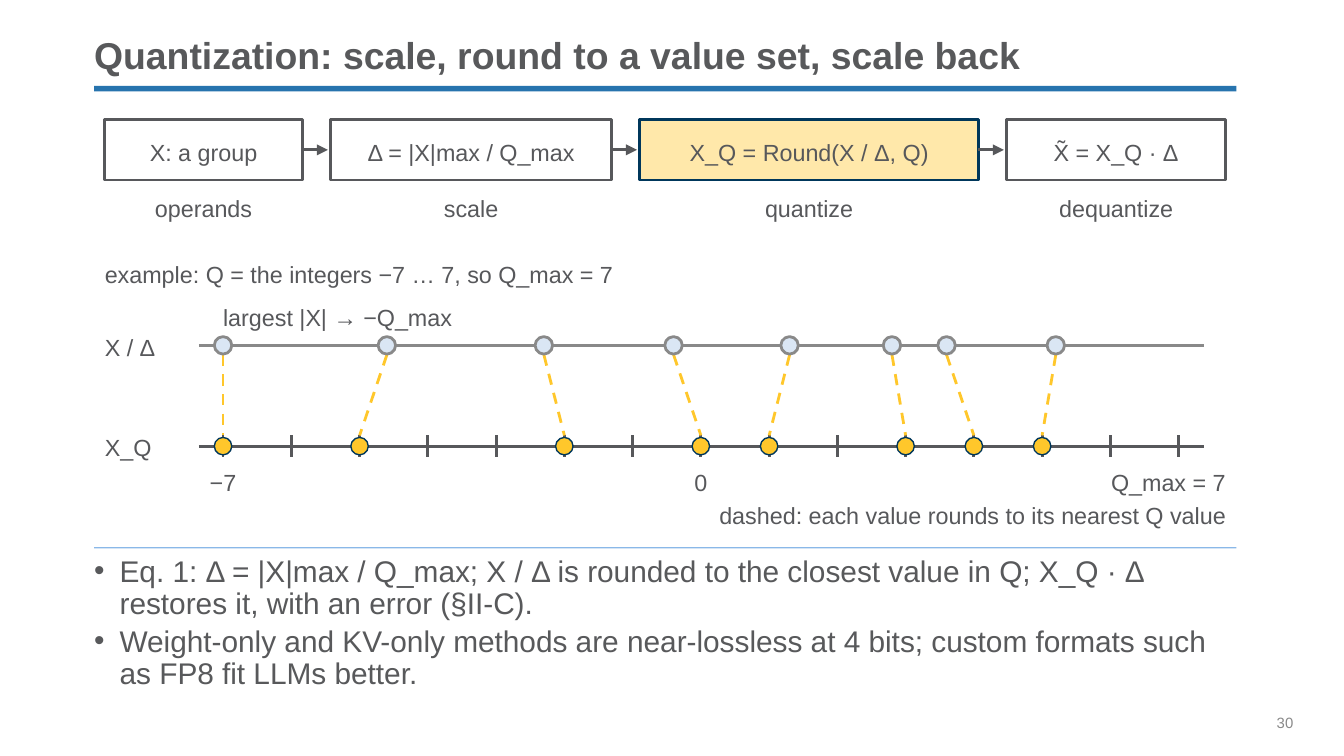
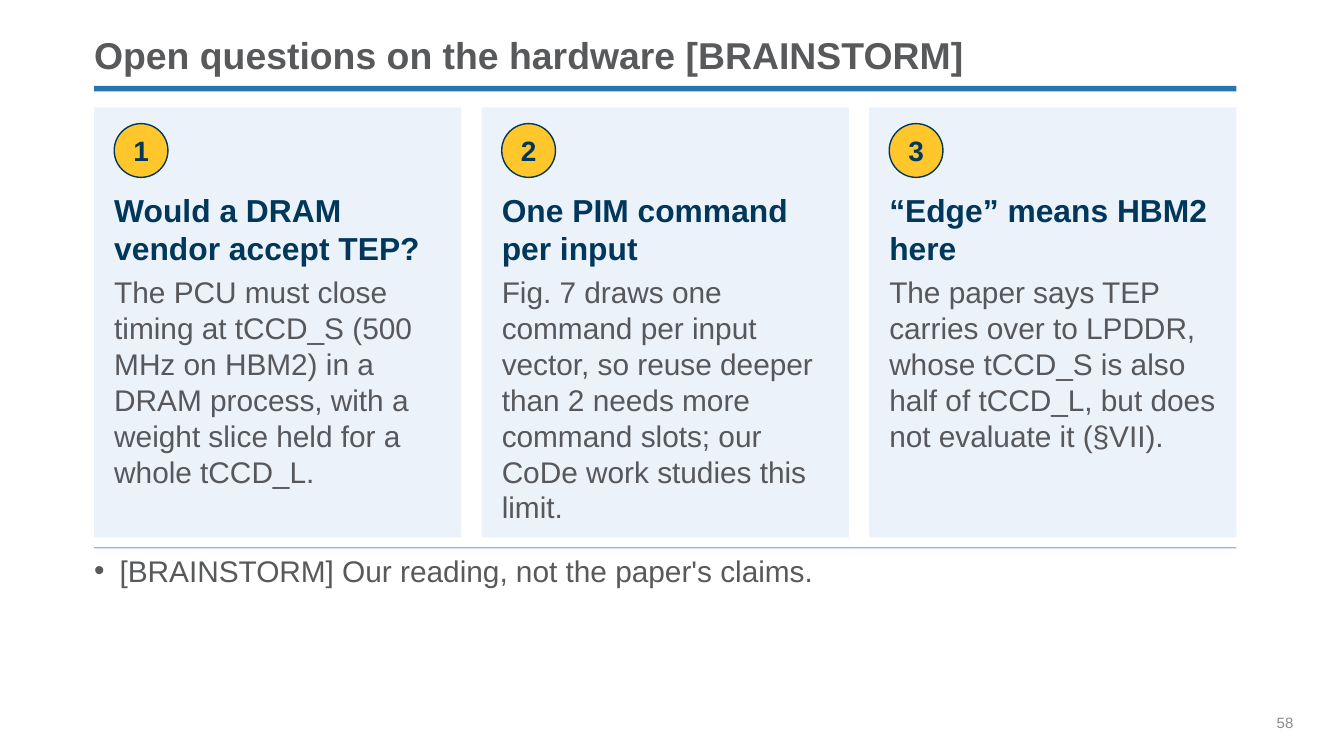
from lxml.etree import SubElement
from pptx import Presentation
from pptx.dml.color import RGBColor
from pptx.enum.dml import MSO_LINE
from pptx.enum.shapes import MSO_CONNECTOR, MSO_SHAPE as Preset
from pptx.enum.text import MSO_ANCHOR as Anchor, MSO_AUTO_SIZE, PP_ALIGN as Align
from pptx.oxml.ns import qn
from pptx.util import Inches, Pt

# Palette
TITLE_GRAY = RGBColor(0x58, 0x59, 0x5B)
TEXT_GRAY = RGBColor(0x57, 0x58, 0x5B)
LIGHT_GRAY = RGBColor(0x89, 0x89, 0x89)
BLUE = RGBColor(0x27, 0x74, 0xAE)
SKY = RGBColor(0x8A, 0xB8, 0xE8)
PALE_BLUE = RGBColor(0xDA, 0xE6, 0xF4)
NAVY = RGBColor(0x00, 0x37, 0x5B)
GOLD = RGBColor(0xFF, 0xC7, 0x2B)
WHITE = RGBColor(0xFF, 0xFF, 0xFF)

# Shared frame
FONT = "Arial"
LEFT, WIDTH = 0.7, 8.5
LABEL_SIZE = 12.5
LABEL_HEIGHT = 0.26


class Deck:
    """Holds the style and the slide being built."""

    def __init__(self):
        self.presentation = Presentation()
        self.presentation.slide_width = Inches(10)
        self.presentation.slide_height = Inches(10) * 9 // 16
        self.slide = None

    def new_slide(self, title, bullets, number):
        layout = self.presentation.slide_layouts[1]
        self.slide = self.presentation.slides.add_slide(layout)
        self.shape(Preset.RECTANGLE, LEFT, 0.64, WIDTH, 0.04, BLUE)
        self.shape(Preset.RECTANGLE, LEFT, 4.07, WIDTH, 0.01, SKY)
        self.title(title)
        self.bullets(bullets)
        self.text(str(number), 9.5, 5.31, 0.5, 0.14, 8, LIGHT_GRAY, anchor=Anchor.TOP)

    def place(self, shape, left, top, width, height):
        shape.left, shape.top = Inches(left), Inches(top)
        shape.width, shape.height = Inches(width), Inches(height)

    def frame(self, shape, anchor):
        frame = shape.text_frame
        frame.word_wrap = True
        frame.auto_size = MSO_AUTO_SIZE.NONE
        frame.vertical_anchor = anchor
        frame.margin_left = frame.margin_right = 0
        frame.margin_top = frame.margin_bottom = 0
        return frame

    def style(self, paragraph, size, color, bold=False, align=Align.LEFT):
        paragraph.alignment = align
        font = paragraph.font
        font.name, font.size, font.bold = FONT, Pt(size), bold
        font.color.rgb = color

    def title(self, words):
        shape = self.slide.shapes.title
        self.place(shape, LEFT, 0.22, WIDTH, 0.36)
        paragraph = self.frame(shape, Anchor.BOTTOM).paragraphs[0]
        paragraph.text = words
        paragraph.line_spacing = 0.9
        self.style(paragraph, 20, TITLE_GRAY, bold=True)

    def bullets(self, items):
        shape = self.slide.placeholders[1]
        self.place(shape, LEFT, 4.14, WIDTH, 1.06)
        frame = self.frame(shape, Anchor.TOP)
        for index, item in enumerate(items):
            paragraph = frame.add_paragraph() if index else frame.paragraphs[0]
            paragraph.text = item
            paragraph.line_spacing = 0.9
            paragraph.space_before = Pt(3 if index else 0)
            properties = paragraph._p.get_or_add_pPr()
            properties.set("marL", str(Inches(0.19)))
            properties.set("indent", str(-Inches(0.19)))
            SubElement(properties, qn("a:buChar")).set("char", "•")
            self.style(paragraph, 16, TITLE_GRAY)

    def text(self, words, left, top, width, height=LABEL_HEIGHT, size=LABEL_SIZE,
             color=TEXT_GRAY, bold=False, align=Align.LEFT, anchor=Anchor.MIDDLE):
        box = self.slide.shapes.add_textbox(
            Inches(left), Inches(top), Inches(width), Inches(height))
        paragraph = self.frame(box, anchor).paragraphs[0]
        paragraph.text = words
        self.style(paragraph, size, color, bold, align)

    def shape(self, preset, left, top, width, height, fill,
              line=None, weight=1.5, opacity=100):
        shape = self.slide.shapes.add_shape(
            preset, Inches(left), Inches(top), Inches(width), Inches(height))
        shape.shadow.inherit = False
        shape.fill.solid()
        shape.fill.fore_color.rgb = fill
        if opacity < 100:
            color = shape.element.spPr.find(qn("a:solidFill"))[0]
            SubElement(color, qn("a:alpha")).set("val", str(opacity * 1000))
        if line is None:
            shape.line.fill.background()
        else:
            shape.line.color.rgb = line
            shape.line.width = Pt(weight)
        return shape

    def shape_text(self, shape, words, size, color, bold=False, drop=0):
        frame = self.frame(shape, Anchor.MIDDLE)
        frame.margin_top = Inches(drop)
        paragraph = frame.paragraphs[0]
        paragraph.text = words
        self.style(paragraph, size, color, bold, Align.CENTER)

    def dot(self, x, y, fill, line, weight, size=0.13):
        self.shape(Preset.OVAL, x - size / 2, y - size / 2, size, size, fill, line, weight)

    def line(self, x1, y1, x2, y2, color=TEXT_GRAY, dashed=False, arrow=False):
        connector = self.slide.shapes.add_connector(
            MSO_CONNECTOR.STRAIGHT, Inches(x1), Inches(y1), Inches(x2), Inches(y2))
        connector.line.color.rgb = color
        connector.line.width = Pt(1.5)
        if dashed:
            connector.line.dash_style = MSO_LINE.DASH
        if arrow:
            SubElement(connector.get_or_add_ln(), qn("a:tailEnd")).set("type", "triangle")
        SubElement(connector.element.spPr, qn("a:effectLst"))
        return connector


def quantization_slide(deck):
    deck.new_slide(
        "Quantization: scale, round to a value set, scale back",
        ["Eq. 1: Δ = |X|max / Q_max; X / Δ is rounded to the closest value in Q; "
         "X_Q · Δ restores it, with an error (§II‑C).",
         "Weight-only and KV-only methods are near-lossless at 4 bits; "
         "custom formats such as FP8 fit LLMs better."],
        30)

    # Flow of four steps
    steps = [("X: a group", "operands", 1.47),
             ("Δ = |X|max / Q_max", "scale", 2.09),
             ("X_Q = Round(X / Δ, Q)", "quantize", 2.52),
             ("X̃ = X_Q · Δ", "dequantize", 1.63)]
    left, top, height, gap = 0.78, 0.89, 0.45, 0.21
    middle = top + height / 2
    previous = None
    for formula, caption, width in steps:
        if caption == "quantize":
            box = deck.shape(Preset.RECTANGLE, left, top, width, height, GOLD, NAVY, opacity=40)
        else:
            box = deck.shape(Preset.RECTANGLE, left, top, width, height, WHITE, TEXT_GRAY)
        deck.shape_text(box, formula, LABEL_SIZE, TEXT_GRAY, drop=0.03)
        deck.text(caption, left, 1.42, width, align=Align.CENTER)
        if previous is not None:
            arrow = deck.line(left - gap, middle, left - 0.02, middle, arrow=True)
            arrow.begin_connect(previous, 3)
        previous = box
        left += width + gap

    # Number lines
    q_max, first, last = 7, 1.66, 8.77
    step = (last - first) / (2 * q_max)
    scaled_y, rounded_y = 2.57, 3.32

    def position(value):
        return first + (value + q_max) * step

    deck.text("example: Q = the integers −7 … 7, so Q_max = 7", 0.78, 1.91, 4.74)
    deck.text("X / Δ", 0.78, 2.45, 0.61)
    deck.text("X_Q", 0.78, 3.2, 0.41)
    deck.line(1.48, scaled_y, 8.96, scaled_y, LIGHT_GRAY)
    deck.line(1.48, rounded_y, 8.96, rounded_y)
    for value in range(-q_max, q_max + 1):
        x = position(value)
        deck.line(x, rounded_y - 0.08, x, rounded_y + 0.08)
    for label, value in (("−7", -q_max), ("0", 0)):
        deck.text(label, position(value) - 0.15, 3.46, 0.3, align=Align.CENTER)
    deck.text("Q_max = 7", 8.11, 3.46, 1.01, align=Align.RIGHT)

    # Each value rounds to its nearest tick
    for value in (-7, -4.6, -2.3, -0.4, 1.3, 2.8, 3.6, 5.2):
        start, end = position(value), position(round(value))
        deck.line(start, scaled_y + 0.07, end, rounded_y - 0.08, GOLD, dashed=True)
        deck.dot(start, scaled_y, PALE_BLUE, LIGHT_GRAY, 1.5)
        deck.dot(end, rounded_y, GOLD, NAVY, 0.75)
    deck.text("largest |X| → −Q_max", first, 2.23, 2.12)
    deck.text("dashed: each value rounds to its nearest Q value",
              4.18, 3.7, 4.94, align=Align.RIGHT)


def questions_slide(deck):
    deck.new_slide("Open questions on the hardware [BRAINSTORM]",
                   ["[BRAINSTORM] Our reading, not the paper's claims."], 58)

    # Numbered cards
    cards = [("Would a DRAM vendor accept TEP?",
              "The PCU must close timing at tCCD_S (500 MHz on HBM2) in a DRAM process, "
              "with a weight slice held for a whole tCCD_L."),
             ("One PIM command per input",
              "Fig. 7 draws one command per input vector, so reuse deeper than 2 needs "
              "more command slots; our CoDe work studies this limit."),
             ("“Edge” means HBM2 here",
              "The paper says TEP carries over to LPDDR, whose tCCD_S is also half of "
              "tCCD_L, but does not evaluate it (§VII).")]
    gap = padding = 0.15
    width = (WIDTH - gap * (len(cards) - 1)) / len(cards)
    inner_width = width - 2 * padding
    for index, (question, answer) in enumerate(cards):
        left = LEFT + index * (width + gap)
        inner = left + padding
        deck.shape(Preset.RECTANGLE, left, 0.8, width, 3.2, PALE_BLUE, opacity=50)
        badge = deck.shape(Preset.OVAL, inner, 0.92, 0.4, 0.4, GOLD, NAVY, 0.75)
        deck.shape_text(badge, str(index + 1), 15, NAVY, bold=True)
        deck.text(question, inner, 1.42, inner_width, 0.58, 17, NAVY,
                  bold=True, anchor=Anchor.TOP)
        deck.text(answer, inner, 2.04, inner_width, 1.9, 16, anchor=Anchor.TOP)


def main():
    deck = Deck()
    quantization_slide(deck)
    questions_slide(deck)
    deck.presentation.save("out.pptx")


if __name__ == "__main__":
    main()
